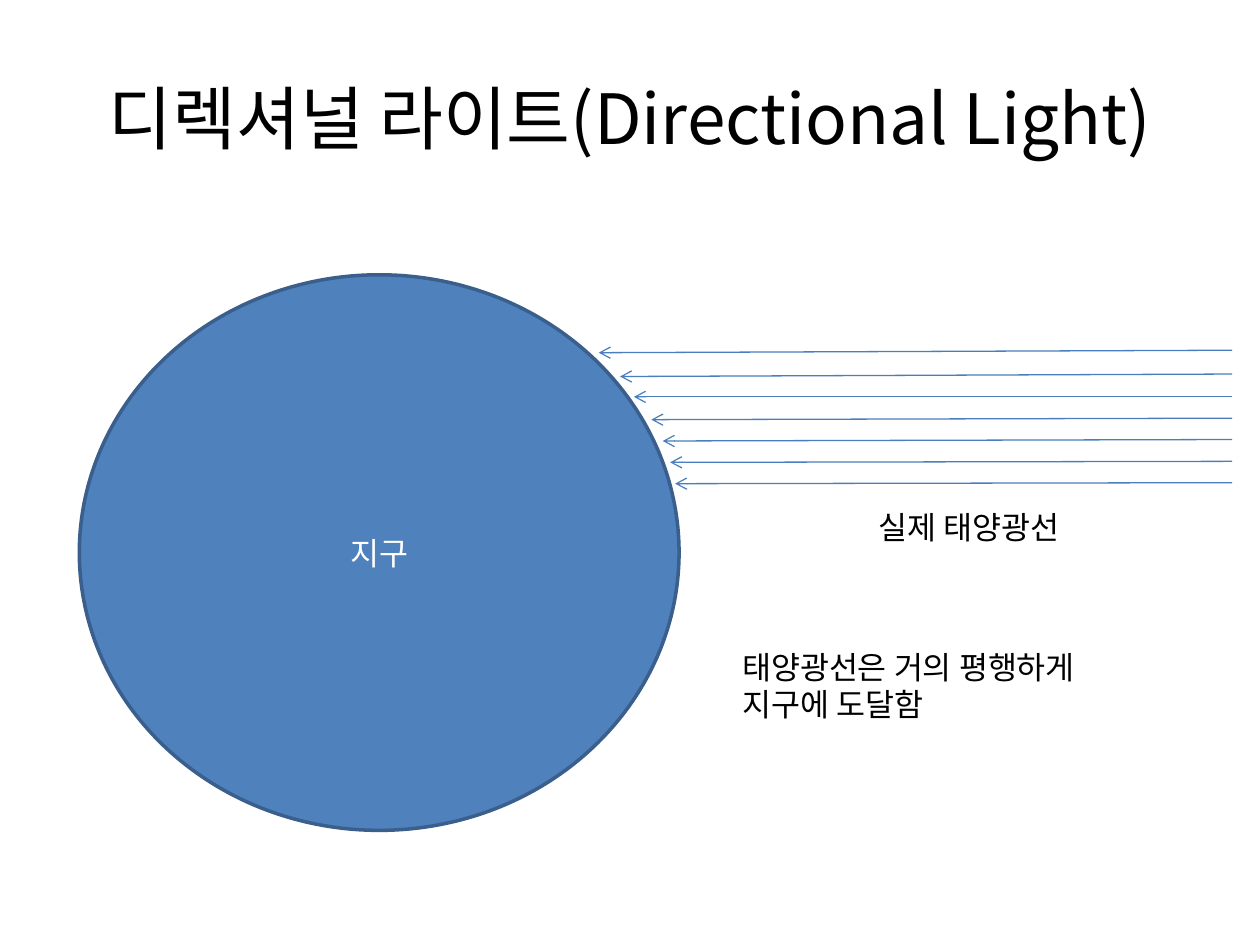
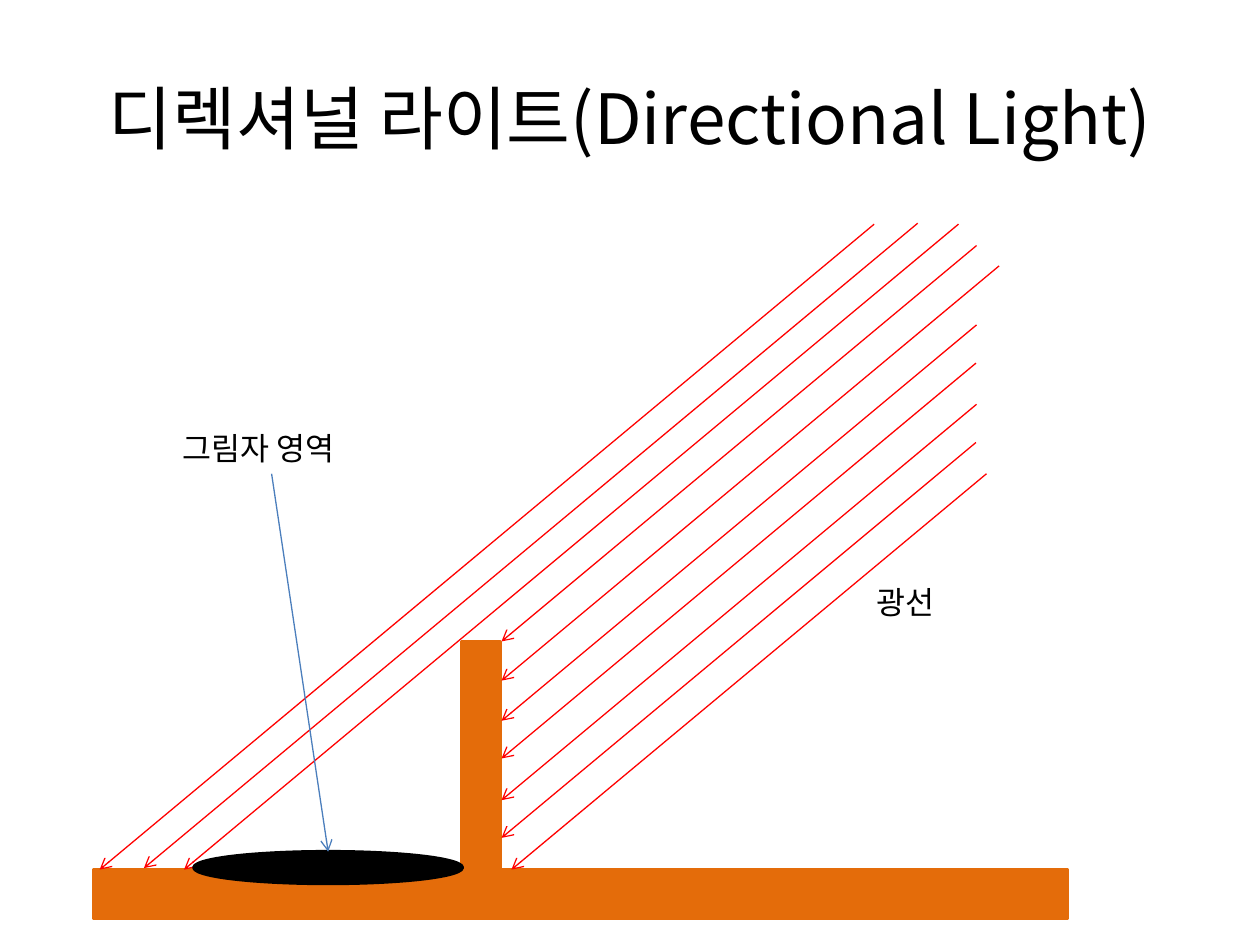
from lxml.etree import SubElement
from pptx import Presentation
from pptx.dml.color import RGBColor
from pptx.enum.shapes import MSO_CONNECTOR, MSO_SHAPE as Kind
from pptx.enum.text import MSO_ANCHOR as Anchor, MSO_AUTO_SIZE as Fit, PP_ALIGN as Align
from pptx.oxml.ns import qn
from pptx.util import Cm, Pt

# Shared look
FONT = "Noto Sans CJK KR"
BLUE, EDGE, RAY_BLUE = "4F81BD", "3A5F8C", "4B7EBC"
ORANGE, RED, BLACK, WHITE = "E46C0A", "FF0000", "000000", "FFFFFF"
TITLE_BOX = (1.27, 0.76, 22.86, 3.18)

# Content: lengths in centimetres
TITLE = "디렉셔널 라이트(Directional Light)"

EARTH = ("지구", (1.6, 5.54, 12.09, 11.2))
SUN_X = 24.84
SUN_RAYS = [  # start y, tip x, tip y
    (7.06, 12.07, 7.11), (7.54, 12.5, 7.59), (8.0, 12.78, 8.0),
    (8.43, 13.13, 8.46), (8.86, 13.36, 8.89), (9.3, 13.51, 9.32),
    (9.73, 13.61, 9.75),
]
SUN_LABELS = [
    ("실제 태양광선", (15.49, 10.11, 8.1, 1.02), Align.CENTER),
    ("태양광선은 거의 평행하게 지구에 도달함", (14.71, 12.93, 8.89, 1.8), Align.LEFT),
]

POST = (9.3, 12.93, 0.79, 4.6)
GROUND = (1.9, 17.53, 19.61, 0.99)
SHADOW = (3.91, 17.17, 5.41, 0.64)
SHADOW_LABEL = ("그림자 영역", (3.43, 8.53, 4.09, 1.02))
LIGHT_LABEL = ("광선", (17.42, 11.63, 4.6, 1.02))
RUN_PER_DROP = 1.2  # shared slant of the parallel rays
WALL_X = 10.11
WALL_RAYS = [  # start y, tip y
    (4.95, 12.93), (5.36, 13.72), (6.55, 14.53),
    (7.32, 15.29), (8.15, 16.13), (8.92, 16.89),
]
GROUND_RAYS = [  # start y, tip x, tip y
    (4.52, 3.71, 17.53), (4.5, 2.9, 17.5), (4.52, 2.01, 17.53), (9.55, 10.31, 17.53),
]


def color(code):
    return RGBColor.from_string(code)


def apply(target, values):
    for name, value in values.items():
        setattr(target, name, value)


def write(frame, text, size=18, ink=BLACK, align=Align.LEFT, **frame_format):
    apply(frame, {"word_wrap": True, **frame_format})
    paragraph = frame.paragraphs[0]
    paragraph.alignment = align
    run = paragraph.add_run()
    run.text = text
    apply(run.font, {"size": Pt(size), "name": FONT})
    run.font.color.rgb = color(ink)
    SubElement(run.font._element, qn("a:ea"), typeface=FONT)


def add_titled_slide(deck):
    slide = deck.slides.add_slide(deck.slide_layouts[5])
    title = slide.shapes.title
    apply(title, dict(zip(("left", "top", "width", "height"), map(Cm, TITLE_BOX))))
    write(title.text_frame, TITLE, 39.6, align=Align.CENTER,
          vertical_anchor=Anchor.MIDDLE, auto_size=Fit.NONE)
    return slide


def add_solid(slide, kind, box, fill, edge):
    solid = slide.shapes.add_shape(kind, *map(Cm, box))
    solid.shadow.inherit = False
    solid.fill.solid()
    solid.fill.fore_color.rgb = color(fill)
    solid.line.color.rgb = color(edge)
    solid.line.width = Pt(2)
    return solid


def add_label(slide, text, box, align=Align.LEFT):
    label = slide.shapes.add_textbox(*map(Cm, box))
    write(label.text_frame, text, align=align, auto_size=Fit.SHAPE_TO_FIT_TEXT)
    return label


def add_arrow(slide, start, tip, ink):
    arrow = slide.shapes.add_connector(MSO_CONNECTOR.STRAIGHT, *map(Cm, (*start, *tip)))
    arrow.line.color.rgb = color(ink)
    arrow.line.width = Pt(0.75)
    SubElement(arrow.line._get_or_add_ln(), qn("a:tailEnd"), type="arrow")
    SubElement(arrow._element.spPr, qn("a:effectLst"))
    return arrow


def build_earth(deck):
    slide = add_titled_slide(deck)
    name, box = EARTH
    earth = add_solid(slide, Kind.OVAL, box, BLUE, EDGE)
    write(earth.text_frame, name, ink=WHITE, align=Align.CENTER,
          vertical_anchor=Anchor.MIDDLE)
    for start_y, *tip in SUN_RAYS:
        add_arrow(slide, (SUN_X, start_y), tip, RAY_BLUE)
    for label in SUN_LABELS:
        add_label(slide, *label)


def build_shadow(deck):
    slide = add_titled_slide(deck)
    for box in (POST, GROUND):
        add_solid(slide, Kind.RECTANGLE, box, ORANGE, ORANGE)

    # Parallel rays onto the wall and the ground
    wall_rays = [(start_y, WALL_X, tip_y) for start_y, tip_y in WALL_RAYS]
    for start_y, tip_x, tip_y in wall_rays + GROUND_RAYS:
        start_x = tip_x + RUN_PER_DROP * (tip_y - start_y)
        add_arrow(slide, (start_x, start_y), (tip_x, tip_y), RED)

    # Shadow with its pointer
    shadow = add_solid(slide, Kind.OVAL, SHADOW, BLACK, BLACK)
    shadow_label = add_label(slide, *SHADOW_LABEL)
    pointer = add_arrow(slide, (5.48, 9.55), (6.62, 17.17), RAY_BLUE)
    pointer.begin_connect(shadow_label, 2)
    pointer.end_connect(shadow, 0)
    add_label(slide, *LIGHT_LABEL)


def main():
    deck = Presentation()
    apply(deck, {"slide_width": Cm(25.4), "slide_height": Cm(19.05)})
    build_earth(deck)
    build_shadow(deck)
    deck.save("out.pptx")


if __name__ == "__main__":
    main()
